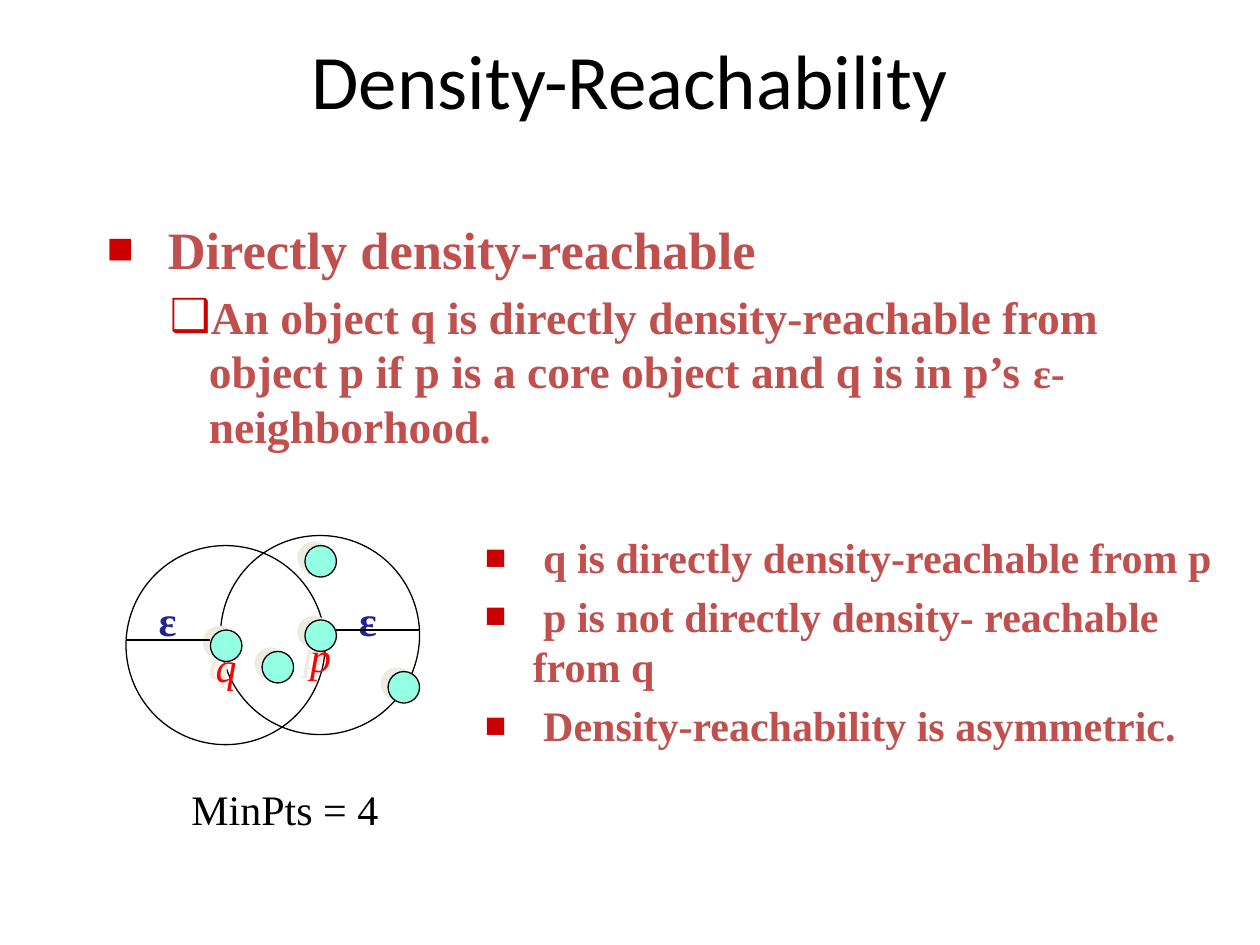
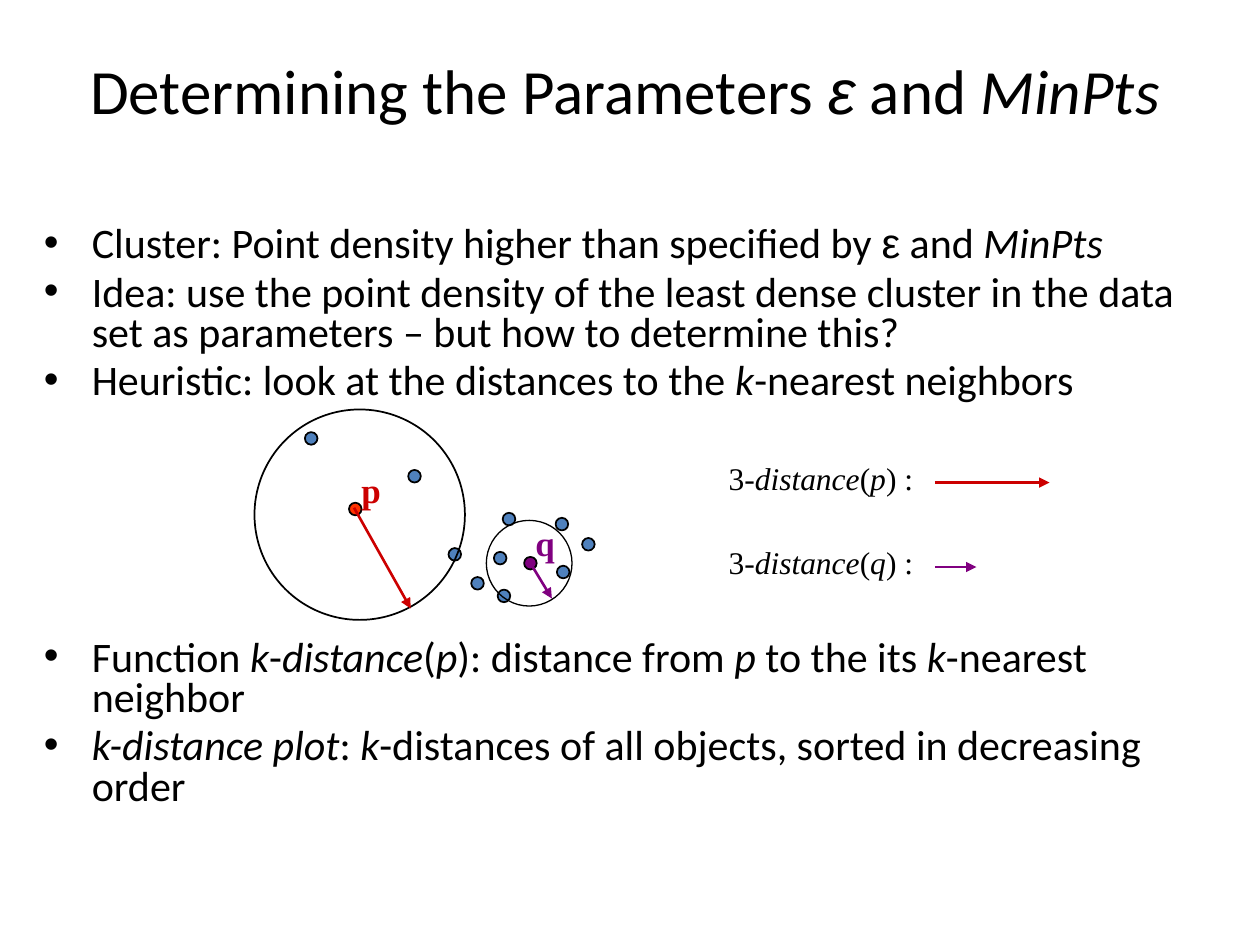
"""Build two slides on density-based clustering."""
from dataclasses import dataclass
from lxml import etree
from pptx import Presentation, util as u
from pptx.dml.color import RGBColor
from pptx.enum import shapes, text
from pptx.oxml.ns import qn


@dataclass(frozen=True)
class Theme:
    sans: str = "Calibri"
    serif: str = "Times New Roman"
    greek: str = "Arial"
    black: str = "000000"
    brick: str = "C0504D"
    red: str = "CC0000"
    bright: str = "FF0000"
    core: str = "FF3300"
    navy: str = "23238E"
    mint: str = "95FFE3"
    shade: str = "EEECE1"
    blue: str = "4F81BD"
    plum: str = "800080"
    head: int = 44
    long: int = 36
    lead: int = 30
    sub: int = 26
    body: int = 24
    tag: int = 20
    note: int = 18
    thin: float = 0.75
    line: float = 1
    bold: float = 1.5


T = Theme()
MID = text.PP_ALIGN.CENTER


def write(par, line, face, size, color, bold=False, bullet=None, gap=0, align=None):
    """Write one paragraph; each asterisk switches italics on or off."""
    par.alignment = align
    par.space_before = u.Pt(gap)
    for i, part in enumerate(line.split("*")):
        if not part:
            continue
        run = par.add_run()
        run.text = part
        font = run.font
        font.name = T.greek if part == "ε" and face == T.sans else face
        font.size, font.bold, font.italic = u.Pt(size), bold, i % 2 == 1
        font.color.rgb = RGBColor.from_string(color)
    if bullet:
        char, left, hang, tint, scale = bullet
        props = par._p.get_or_add_pPr()
        props.set("marL", str(u.Inches(left)))
        props.set("indent", str(-u.Inches(hang)))
        hue = etree.SubElement(props, qn("a:buClr"))
        etree.SubElement(hue, qn("a:srgbClr"), val=tint)
        etree.SubElement(props, qn("a:buSzPct"), val=str(scale * 1000))
        etree.SubElement(props, qn("a:buFont"), typeface=T.greek)
        etree.SubElement(props, qn("a:buChar"), char=char)


def oval(slide, at, fill=None, width=T.thin):
    """Draw an outlined ellipse, filled when a colour is given."""
    shape = slide.shapes.add_shape(shapes.MSO_SHAPE.OVAL, *map(u.Inches, at))
    shape.shadow.inherit = False
    shape.line.color.rgb = RGBColor.from_string(T.black)
    shape.line.width = u.Pt(width)
    if fill:
        shape.fill.solid()
        shape.fill.fore_color.rgb = RGBColor.from_string(fill)
    else:
        shape.fill.background()
    return shape


deck = Presentation()
deck.slide_width, deck.slide_height = u.Inches(10), u.Inches(7.5)
heads = [
    ("Density-Reachability", T.head, (0.75, 0, 8.5, 1.25)),
    ("Determining the Parameters *ε* and *MinPts*", T.long, (0.25, 0, 9.42, 1.42)),
]
for line, size, at in heads:
    slide = deck.slides.add_slide(deck.slide_layouts[5])
    title = slide.shapes.title
    title.left, title.top, title.width, title.height = map(u.Inches, at)
    title.text_frame.vertical_anchor = text.MSO_ANCHOR.MIDDLE
    write(title.text_frame.paragraphs[0], line, T.sans, size, T.black, align=MID)
reach, param = deck.slides

for left, top in [(1, 4.33), (1.75, 4.25)]:
    oval(reach, (left, top, 1.58, 1.58))
dots = [(2.42, 4.33, ""), (1.67, 5, "q"), (2.08, 5.17, ""), (3.08, 5.33, ""), (2.42, 4.92, "p")]
for left, top, name in dots:
    dot = oval(reach, (left, top, 0.25, 0.25), T.mint)
    glow = dot._element.spPr.find(qn("a:effectLst"))
    cast = etree.SubElement(glow, qn("a:outerShdw"), dist=str(u.Pt(4.5)),
                            dir=str(207 * 60000), algn="ctr", rotWithShape="0")
    etree.SubElement(cast, qn("a:srgbClr"), val=T.shade)
    if name:
        frame = dot.text_frame
        frame.word_wrap = False
        frame.vertical_anchor = text.MSO_ANCHOR.TOP
        write(frame.paragraphs[0], f"*{name}*", T.serif, T.body, T.bright, align=MID)

points = [
    (3.74, 4.58, T.blue), (3.56, 4.35, T.blue), (4.62, 4.27, T.blue),
    (3.92, 4.38, T.blue), (3.99, 4.07, T.blue), (4.16, 4.42, T.plum),
    (2.77, 3.99, T.core), (4.41, 4.11, T.blue), (4.42, 4.49, T.blue),
    (3.95, 4.68, T.blue), (3.24, 3.73, T.blue), (2.42, 3.43, T.blue),
]
for left, top, color in points:
    oval(param, (left, top, 0.1, 0.1), color, T.line)
oval(param, (2.02, 3.25, 1.67, 1.67), width=T.line)
oval(param, (3.86, 4.13, 0.68, 0.68))

square = ("■", 0.38, 0.38, T.red, 85)
check = ("❑", 0.81, 0.31, T.red, 100)
round_ = ("•", 0.38, 0.38, T.black, 100)

lists = [
    (reach, (0.75, 1.67, 8.5, 2.08), T.serif, T.brick, True, None, [
        (" Directly density-reachable", T.lead, square, 6),
        ("An object q is directly density-reachable from object p if p is a core "
         "object and q is in p’s **ε-**neighborhood.", T.sub, check, 5.2)]),
    (reach, (3.75, 4.17, 6.08, 2.08), T.serif, T.brick, True, None, [
        (line, T.body, square, 4.8) for line in (
            " q is directly density-reachable from p",
            " p is not directly density- reachable from q",
            " Density-reachability is asymmetric.")]),
    (param, (0.25, 1.75, 9.58, 5.17), T.sans, T.black, False, 0.8, [
        (line, T.body, round_, gap) for line, gap in (
            ("Cluster: Point density higher than specified by **ε** and *MinPts*", 4.5),
            ("Idea: use the point density of the least dense cluster in the data set "
             "as parameters – but how to determine this?", 4.5),
            ("Heuristic: look at the distances to the *k*-nearest neighbors", 4.5),
            ("Function *k*-*distance*(*p*): distance from *p* to the its *k*-nearest "
             "neighbor", 135),
            ("*k-distance plot*: *k*-distances of all objects, sorted in decreasing "
             "order", 4.5))]),
]
for slide, at, face, color, bold, pitch, lines in lists:
    frame = slide.shapes.add_textbox(*map(u.Inches, at)).text_frame
    frame.word_wrap = True
    for i, (line, size, bullet, gap) in enumerate(lines):
        par = frame.add_paragraph() if i else frame.paragraphs[0]
        par.line_spacing = pitch
        write(par, line, face, size, color, bold, bullet, gap)
        for run in par.runs:
            if run.text == "ε-":
                run.font.size = u.Pt(T.body)

labels = [
    (reach, (2.75, 4.67, 0.34, 0.5), "ε", T.body, T.navy, True, MID),
    (reach, (1.16, 4.67, 0.34, 0.5), "ε", T.body, T.navy, True, MID),
    (reach, (1.42, 6.17, 3.17, 0.5), "MinPts = 4", T.body, T.black, False, None),
    (param, (2.77, 3.67, 0.4, 0.43), "p", T.tag, T.red, True, None),
    (param, (4.15, 4.09, 0.4, 0.43), "q", T.tag, T.plum, True, None),
    (param, (5.68, 3.59, 1.67, 0.4), "3-*distance*(*p*) :", T.note, T.black, False, MID),
    (param, (5.68, 4.26, 1.67, 0.4), "3-*distance*(*q*) :", T.note, T.black, False, MID),
]
for slide, at, line, size, color, bold, align in labels:
    frame = slide.shapes.add_textbox(*map(u.Inches, at)).text_frame
    frame.word_wrap = align is None
    write(frame.paragraphs[0], line, T.serif, size, color, bold, align=align)

rules = [
    (reach, (1, 5.08, 1.67, 5.08), T.black),
    (reach, (2.67, 5, 3.33, 5), T.black),
    (param, (2.81, 4.03, 3.26, 4.83), T.red),
    (param, (7.42, 3.83, 8.33, 3.83), T.red),
    (param, (4.21, 4.47, 4.38, 4.75), T.plum),
    (param, (7.42, 4.5, 7.75, 4.5), T.plum),
]
for slide, ends, color in rules:
    rule = slide.shapes.add_connector(shapes.MSO_CONNECTOR.STRAIGHT, *map(u.Inches, ends))
    rule.line.color.rgb = RGBColor.from_string(color)
    rule.line.width = u.Pt(T.thin if slide is reach else T.bold)
    if slide is param:
        etree.SubElement(rule.line._get_or_add_ln(), qn("a:tailEnd"), type="triangle")
    etree.SubElement(rule._element.spPr, qn("a:effectLst"))

deck.save("out.pptx")
